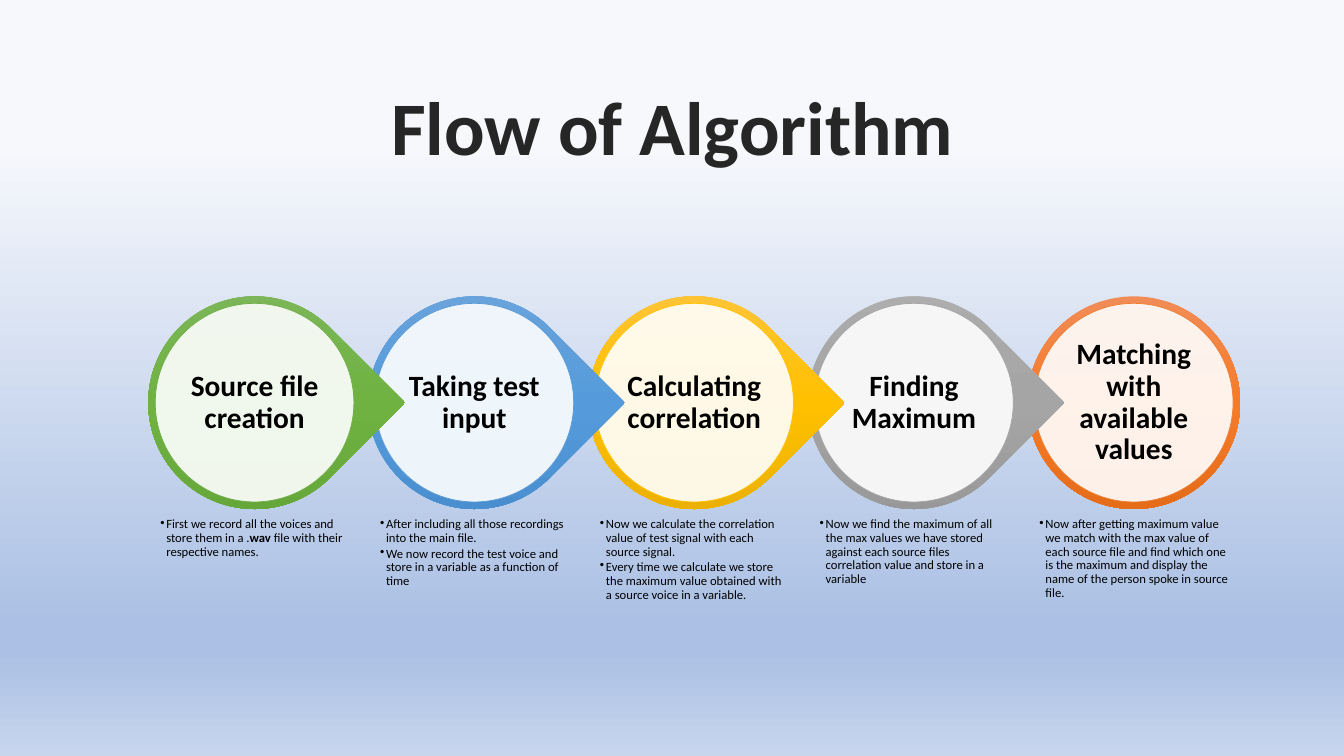
from dataclasses import dataclass

from lxml import etree
from pptx import Presentation
from pptx.dml.color import RGBColor
from pptx.enum.shapes import MSO_SHAPE
from pptx.enum.text import MSO_ANCHOR, MSO_AUTO_SIZE, PP_ALIGN
from pptx.oxml.ns import qn
from pptx.util import Inches, Pt

ELLIPSE, TEARDROP = MSO_SHAPE.OVAL, MSO_SHAPE.TEAR
TOP, MIDDLE = MSO_ANCHOR.TOP, MSO_ANCHOR.MIDDLE
LEFT, CENTER = PP_ALIGN.LEFT, PP_ALIGN.CENTER
NO_AUTOFIT = MSO_AUTO_SIZE.NONE
TITLE_ONLY = 5


@dataclass(frozen=True)
class Theme:
    font: str = "Calibri"
    title_size: int = 54
    heading_size: int = 21
    note_size: int = 9
    title_color: str = "262626"
    text_color: str = "000000"
    disc_color: str = "FFFFFF"
    disc_opacity: int = 90
    background: tuple = ((19, "F6F8FC"), (83, "ABC0E4"), (86, "ABC0E4"), (100, "C7D5ED"))


THEME = Theme()


@dataclass(frozen=True)
class Step:
    heading: str
    notes: tuple  # each note is a tuple of (text, bold) spans
    outline: str
    shades: tuple


STEPS = (
    Step("Source file creation",
         ((("First we record all the voices and store them in a .", False), ("wav", True),
           (" file with their respective names.", False)),),
         "70AD47", ("81B861", "6FB242", "62A336")),
    Step("Taking test input",
         ((("After including all those recordings into the main file.", False),),
          (("We now record the test voice and store in a variable as a function of time", False),)),
         "5B9BD5", ("71A6DB", "559BDB", "448ACA")),
    Step("Calculating correlation",
         ((("Now we calculate the correlation value of test signal with each source signal.", False),),
          (("Every time we calculate we store the maximum value obtained with a source voice "
            "in a variable.", False),)),
         "FFC000", ("FFC64B", "FFC000", "E3AB00")),
    Step("Finding Maximum",
         ((("Now we find the maximum of all the max values we have stored against each source "
            "files correlation value and store in a variable", False),),),
         "A5A5A5", ("AFAFAF", "A5A5A5", "939393")),
    Step("Matching with available values",
         ((("Now after getting maximum value we match with the max value of each source file and "
            "find which one is the maximum and display the name of the person spoke in source "
            "file.", False),),),
         "ED7D31", ("F18C57", "F67B28", "E56C19")),
)


def apply_format(target, values):
    for name, value in values.items():
        setattr(target, name, value)


def paint_gradient(fill, element, stops):
    """Fill from top to bottom with (percent, colour) stops, whatever the rotation."""
    fill.gradient()
    fill.gradient_angle = 270
    gradient = element.xpath(".//a:gradFill")[0]
    gradient.set("rotWithShape", "0")
    stop_list = gradient.find(qn("a:gsLst"))
    for old_stop in list(stop_list):
        stop_list.remove(old_stop)
    for percent, color in stops:
        stop = etree.SubElement(stop_list, qn("a:gs"), pos=str(percent * 1000))
        etree.SubElement(stop, qn("a:srgbClr"), val=color)


def add_span(para, text, size, bold, color=THEME.text_color):
    span = para.add_run()
    span.text = text
    apply_format(span.font, {"name": THEME.font, "size": Pt(size), "bold": bold})
    span.font.color.rgb = RGBColor.from_string(color)


def set_frame(frame, inset, anchor):
    apply_format(frame, {"word_wrap": True, "auto_size": NO_AUTOFIT, "vertical_anchor": anchor})
    apply_format(frame, {f"margin_{side}": Inches(inset)
                         for side in ("left", "top", "right", "bottom")})


def add_text_box(page, left, top, width, height, inset, anchor):
    box = page.shapes.add_textbox(Inches(left), Inches(top), Inches(width), Inches(height))
    set_frame(box.text_frame, inset, anchor)
    return box.text_frame


def add_round(page, kind, left, top, size):
    shape = page.shapes.add_shape(kind, Inches(left), Inches(top), Inches(size), Inches(size))
    shape.shadow.inherit = False
    return shape


def add_title(page, left, top, width, height):
    title = page.shapes.title
    apply_format(title, {"left": Inches(left), "top": Inches(top),
                         "width": Inches(width), "height": Inches(height)})
    set_frame(title.text_frame, 0.05, MIDDLE)
    para = title.text_frame.paragraphs[0]
    para.alignment = CENTER
    add_span(para, "Flow of Algorithm", THEME.title_size, True, THEME.title_color)


def add_badge(page, step, left, top, size, points_on):
    """Draw the coloured ring, its pale disc and the heading inside."""
    ring = add_round(page, TEARDROP if points_on else ELLIPSE, left, top, size)
    if points_on:
        ring.adjustments[0] = 1
        ring.rotation = 45
    paint_gradient(ring.fill, ring.element, zip((0, 50, 100), step.shades))
    ring.line.fill.background()

    rim = 0.07
    disc = add_round(page, ELLIPSE, left + rim, top + rim, size - 2 * rim)
    disc.fill.solid()
    disc.fill.fore_color.rgb = RGBColor.from_string(THEME.disc_color)
    disc_fill = disc.element.xpath("./p:spPr/a:solidFill/a:srgbClr")[0]
    etree.SubElement(disc_fill, qn("a:alpha"), val=str(THEME.disc_opacity * 1000))
    disc.line.color.rgb = RGBColor.from_string(step.outline)
    disc.line.width = Pt(0.5)

    pad = 0.35
    frame = add_text_box(page, left + pad, top + pad, size - 2 * pad, size - 2 * pad, 0.03, MIDDLE)
    para = frame.paragraphs[0]
    apply_format(para, {"alignment": CENTER, "line_spacing": 0.9})
    add_span(para, step.heading, THEME.heading_size, True)


def add_notes(page, notes, left, top, width, height):
    frame = add_text_box(page, left, top, width, height, 0.05, TOP)
    for index, note in enumerate(notes):
        para = frame.add_paragraph() if index else frame.paragraphs[0]
        apply_format(para, {"alignment": LEFT, "level": 1, "line_spacing": 0.9,
                            "space_after": Pt(0.15 * THEME.note_size)})
        properties = para._p.get_or_add_pPr()
        indent = Inches(0.06)
        properties.set("marL", str(indent))
        properties.set("indent", str(-indent))
        etree.SubElement(properties, qn("a:buChar"), char="•")
        for text, bold in note:
            add_span(para, text, THEME.note_size, bold)


def add_flow(page, left, top, pitch, size):
    """Place the steps from last to first, so each tip overlaps the next ring."""
    for index, step in reversed(list(enumerate(STEPS))):
        step_left = left + index * pitch
        add_badge(page, step, step_left, top, size, points_on=index < len(STEPS) - 1)
        add_notes(page, step.notes, step_left + 0.07, top + size + 0.04, size - 0.14, 1.16)


def main():
    deck = Presentation()
    deck.slide_width, deck.slide_height = Inches(13.33), Inches(7.5)
    page = deck.slides.add_slide(deck.slide_layouts[TITLE_ONLY])
    paint_gradient(page.background.fill, page.element, THEME.background)
    add_title(page, 3.21, 0.74, 6.92, 1.01)
    add_flow(page, left=1.47, top=2.94, pitch=2.18, size=2.11)
    deck.save("out.pptx")


if __name__ == "__main__":
    main()
